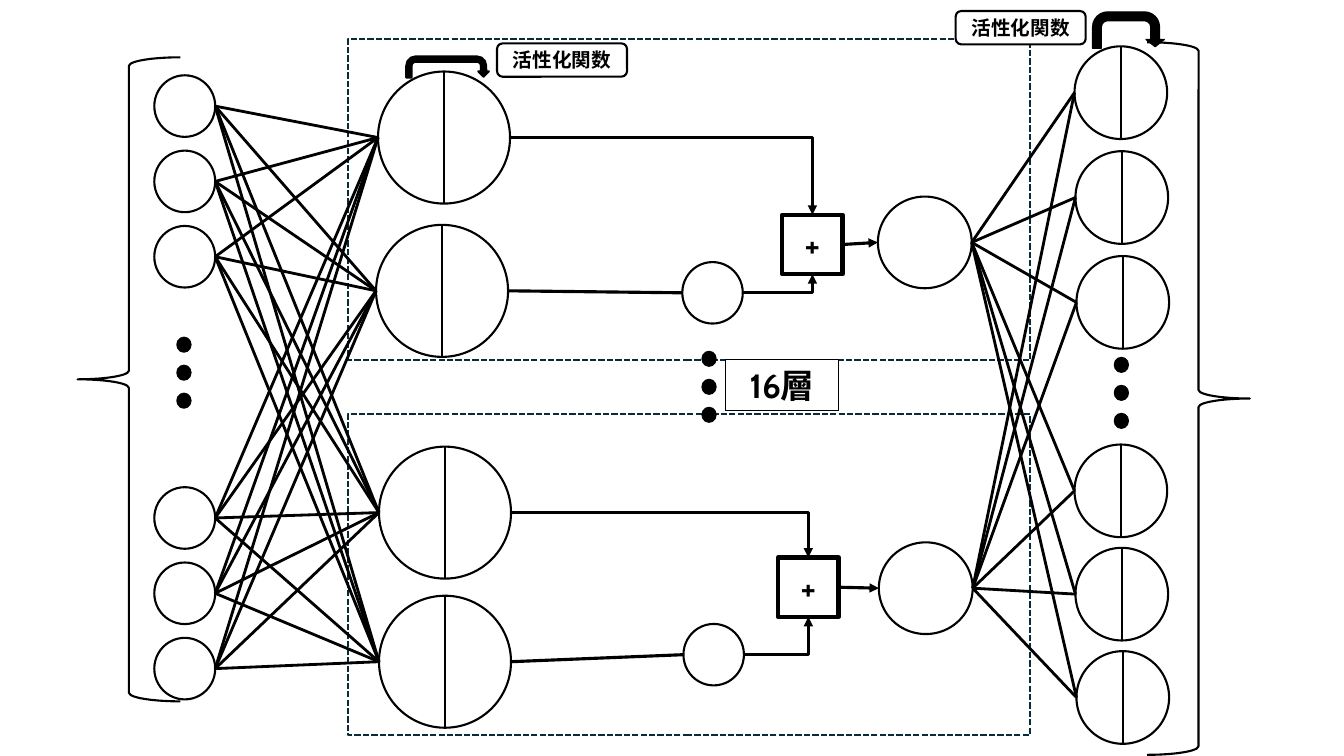
from dataclasses import dataclass
from itertools import product
from typing import NamedTuple

from lxml import etree
from pptx import Presentation
from pptx.dml.color import RGBColor
from pptx.enum.dml import MSO_LINE
from pptx.enum.shapes import MSO_CONNECTOR, MSO_SHAPE
from pptx.enum.text import MSO_ANCHOR, PP_ALIGN
from pptx.oxml.ns import qn
from pptx.shapes.autoshape import Shape
from pptx.shapes.connector import Connector
from pptx.slide import Slide
from pptx.util import Pt

OVAL, RECT, ROUNDED = MSO_SHAPE.OVAL, MSO_SHAPE.RECTANGLE, MSO_SHAPE.ROUNDED_RECTANGLE
LEFT_BRACE, RIGHT_BRACE = MSO_SHAPE.LEFT_BRACE, MSO_SHAPE.RIGHT_BRACE
U_TURN = MSO_SHAPE.U_TURN_ARROW
STRAIGHT, ELBOW = MSO_CONNECTOR.STRAIGHT, MSO_CONNECTOR.ELBOW
DASHED = MSO_LINE.SQUARE_DOT
CENTER, TOP, MIDDLE = PP_ALIGN.CENTER, MSO_ANCHOR.TOP, MSO_ANCHOR.MIDDLE

# Side midpoints, as fractions of width and height
Side = tuple[float, float]
UPPER, LOWER, LEFT, RIGHT = (0.5, 0), (0.5, 1), (0, 0.5), (1, 0.5)


@dataclass(frozen=True)
class Theme:
    font: str = "Cabin"
    ink: RGBColor = RGBColor(0x00, 0x00, 0x00)
    paper: RGBColor = RGBColor(0xFF, 0xFF, 0xFF)
    frame: RGBColor = RGBColor(0x09, 0x2A, 0x39)
    large: float = 24
    small: float = 14
    hairline: float = 0.75
    outline: float = 1.5
    wire: float = 2
    signal: float = 2.25
    heavy: float = 3


THEME = Theme()


class Box(NamedTuple):
    left: float
    top: float
    width: float
    height: float


class Unit(NamedTuple):
    """One module: two hidden nodes, a gate, a sum and a merged node."""
    frame: Box
    hidden: tuple[Box, Box]
    gate: Box
    total: Box
    merged: Box


class Activation(NamedTuple):
    arrow: Box
    adjustments: tuple[float, ...]
    line: float
    label: Box


INPUTS = [Box(110.2, start + 53.8 * row, 43.5, 44)
          for start in (53.8, 348) for row in range(3)]
OUTPUTS = [Box(767.5 + 0.7 * row, start + pitch * row, 66.2, 66.2)
           for start, pitch in ((33.1, 74.9), (317.5, 73.8)) for row in range(3)]
UNITS = [
    Unit(Box(248.4, 28.1, 487.4, 229),
         (Box(270, 51.1, 94.3, 94.3), Box(268.6, 160.6, 94.3, 94.3)),
         Box(487.4, 187.2, 43.2, 43.9), Box(558.7, 153.4, 43.2, 42.5),
         Box(627.1, 140.4, 67, 65.5)),
    Unit(Box(248.4, 295.9, 487.4, 229),
         (Box(270.7, 319, 94.3, 94.3), Box(270.7, 425.5, 94.3, 94.3)),
         Box(488.2, 445.7, 43.2, 43.9), Box(555.8, 398.2, 43.2, 42.5),
         Box(627.8, 387.4, 67, 65.5)),
]
BRACES = [(LEFT_BRACE, Box(55.4, 41, 73.4, 460)),
          (RIGHT_BRACE, Box(819.4, 30.2, 73.4, 509))]
DOT_STARTS = [(126.7, 241.2), (796.3, 255.6), (501.8, 251.3)]
ACTIVATIONS = [
    Activation(Box(290.2, 40.3, 59, 15.1), (0.25, 0.25, 0.25, 0.438, 0.955), 1.5,
               Box(355, 31, 92.9, 23.8)),
    Activation(Box(780.5, 8.6, 51.1, 25.9), (0.238, 0.25, 0.197, 0.413, 0.955), 1,
               Box(682.6, 7.9, 92.9, 23.8)),
]


def add_form(page: Slide, kind: MSO_SHAPE, box: Box, fill: RGBColor | None = None,
             line: float = THEME.outline, color: RGBColor = THEME.ink) -> Shape:
    shape = page.shapes.add_shape(kind, *(Pt(length) for length in box))
    shape.shadow.inherit = False
    if fill is None:
        shape.fill.background()
    else:
        shape.fill.solid()
        shape.fill.fore_color.rgb = fill
    shape.line.width = Pt(line)
    shape.line.color.rgb = color
    return shape


def add_words(shape: Shape, words: str, size: float, anchor: MSO_ANCHOR = MIDDLE) -> None:
    frame = shape.text_frame
    frame.word_wrap = True
    frame.vertical_anchor = anchor
    para = frame.paragraphs[0]
    para.alignment = CENTER
    span = para.add_run()
    span.text = words
    span.font.name = THEME.font
    span.font.size = Pt(size)
    span.font.bold = True
    span.font.color.rgb = THEME.ink


def join(page: Slide, source: Box, source_side: Side, target: Box, target_side: Side,
         width: float, arrow: bool = False, bent: bool = False) -> Connector:
    ends = [Pt(length) for box, (across, down) in ((source, source_side), (target, target_side))
            for length in (box.left + across * box.width, box.top + down * box.height)]
    link = page.shapes.add_connector(ELBOW if bent else STRAIGHT, *ends)
    link.line.width = Pt(width)
    link.line.color.rgb = THEME.ink
    properties = link._element.spPr
    if bent:  # a single corner
        properties.find(qn("a:prstGeom")).set("prst", "bentConnector2")
    if arrow:
        etree.SubElement(properties.find(qn("a:ln")), qn("a:tailEnd"), type="triangle")
    etree.SubElement(properties, qn("a:effectLst"))
    return link


def add_node(page: Slide, box: Box, split: bool = False) -> None:
    add_form(page, OVAL, box, THEME.paper)
    if split:
        join(page, box, UPPER, box, LOWER, THEME.outline)


def add_unit(page: Slide, unit: Unit) -> None:
    add_form(page, RECT, unit.frame, color=THEME.frame).line.dash_style = DASHED
    for box in unit.hidden:
        add_node(page, box, split=True)
    add_node(page, unit.gate)
    add_node(page, unit.merged)
    add_words(add_form(page, RECT, unit.total, line=THEME.heavy), "+", THEME.large)

    first, second = unit.hidden
    signal = THEME.signal
    join(page, first, RIGHT, unit.total, UPPER, signal, arrow=True, bent=True)
    join(page, second, RIGHT, unit.gate, LEFT, signal)
    join(page, unit.gate, RIGHT, unit.total, LOWER, signal, arrow=True, bent=True)
    join(page, unit.total, RIGHT, unit.merged, LEFT, signal, arrow=True)


def add_activation(page: Slide, activation: Activation) -> None:
    arrow = add_form(page, U_TURN, activation.arrow, THEME.ink, activation.line)
    for index, value in enumerate(activation.adjustments):
        arrow.adjustments[index] = value
    label = add_form(page, ROUNDED, activation.label, THEME.paper)
    add_words(label, "活性化関数", THEME.small)


def main() -> None:
    deck = Presentation()
    deck.slide_width, deck.slide_height = Pt(960), Pt(540)
    page = deck.slides.add_slide(deck.slide_layouts[6])

    # Layers of nodes
    for box in INPUTS:
        add_node(page, box)
    for unit in UNITS:
        add_unit(page, unit)
    for box in OUTPUTS:
        add_node(page, box, split=True)

    # Full connections between layers
    hidden = [box for unit in UNITS for box in unit.hidden]
    merged = [unit.merged for unit in UNITS]
    for sources, targets in ((INPUTS, hidden), (merged, OUTPUTS)):
        for source, target in product(sources, targets):
            join(page, source, RIGHT, target, LEFT, THEME.wire)

    # Braces, layer count and ellipsis dots
    for kind, box in BRACES:
        add_form(page, kind, box)
    count = add_form(page, RECT, Box(518.4, 257, 80.6, 36), THEME.paper, THEME.hairline)
    add_words(count, "16層", THEME.large, TOP)
    for (left, top), row in product(DOT_STARTS, range(3)):
        add_form(page, OVAL, Box(left, top + 20 * row, 9.4, 10), THEME.ink)

    # Activation functions
    for activation in ACTIVATIONS:
        add_activation(page, activation)

    deck.save("out.pptx")


if __name__ == "__main__":
    main()
